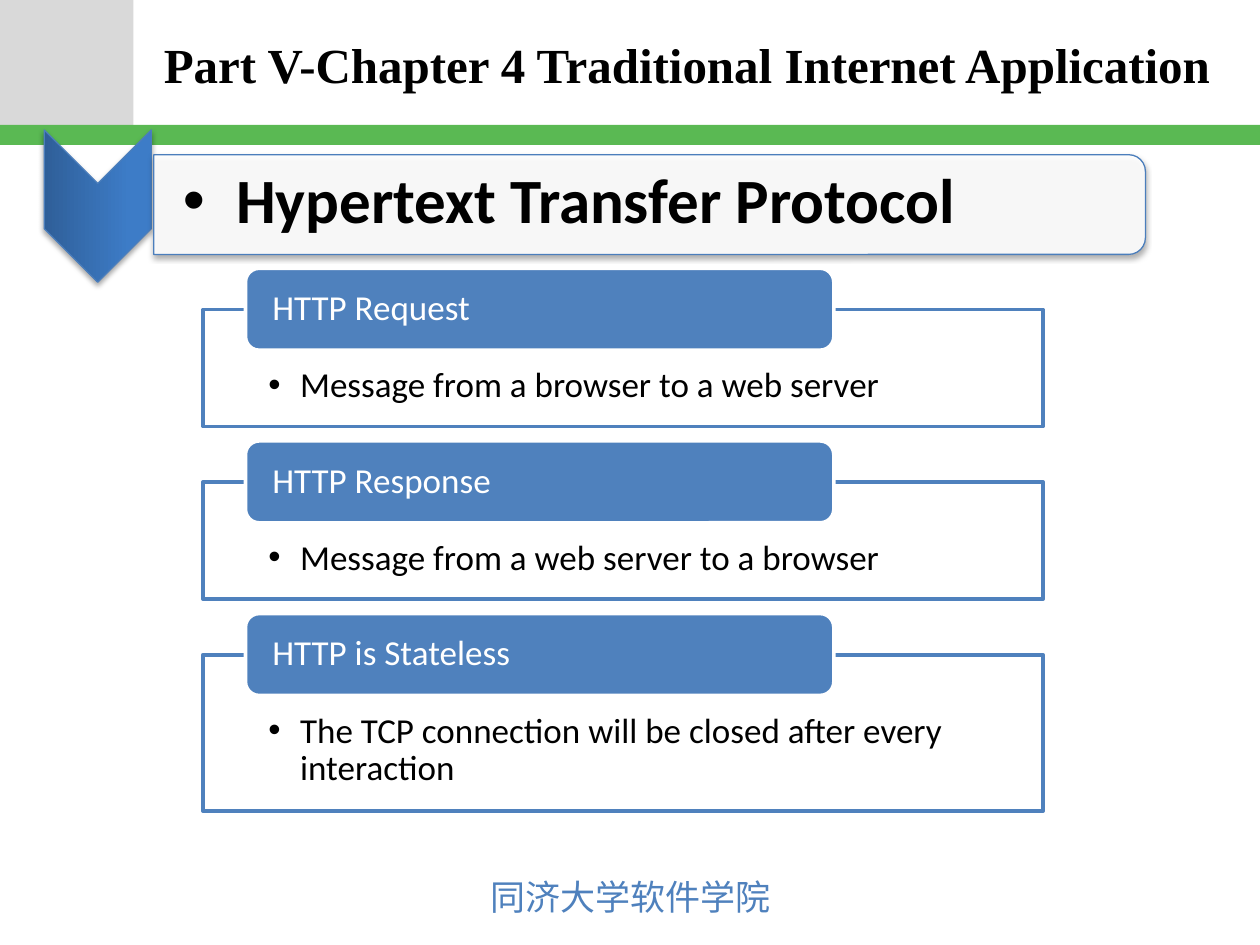
from lxml import etree
from pptx import Presentation
from pptx.dml.color import RGBColor
from pptx.enum.shapes import MSO_SHAPE
from pptx.enum.text import MSO_ANCHOR, PP_ALIGN
from pptx.oxml import parse_xml
from pptx.oxml.ns import nsdecls, qn
from pptx.util import Cm, Pt

RECT, ROUNDED = MSO_SHAPE.RECTANGLE, MSO_SHAPE.ROUNDED_RECTANGLE
CHEVRON, TAB = MSO_SHAPE.CHEVRON, MSO_SHAPE.ROUND_2_SAME_RECTANGLE
TOP, MIDDLE = MSO_ANCHOR.TOP, MSO_ANCHOR.MIDDLE
LEFT, CENTER = PP_ALIGN.LEFT, PP_ALIGN.CENTER

BLACK = RGBColor(0x00, 0x00, 0x00)
WHITE = RGBColor(0xFF, 0xFF, 0xFF)
GREY = RGBColor(0xD9, 0xD9, 0xD9)
GREEN = RGBColor(0x5A, 0xB9, 0x53)
BLUE = RGBColor(0x4F, 0x81, 0xBD)
EDGE = RGBColor(0x4B, 0x7E, 0xBC)
DARK_BLUE = RGBColor(0x2F, 0x5F, 0x99)
MID_BLUE = RGBColor(0x3D, 0x7C, 0xC7)

SHADOW = (
    f'<a:effectLst {nsdecls("a")}>'
    '<a:outerShdw blurRad="40000" dist="23000" dir="5400000" rotWithShape="0">'
    '<a:srgbClr val="000000"><a:alpha val="35000"/></a:srgbClr>'
    '</a:outerShdw></a:effectLst>'
)


def write(sp, text, size=20, font="Calibri", color=BLACK, bold=False, align=LEFT,
          anchor=TOP, insets=None, bullet=None, spacing=None, wrap=True):
    """Fill a shape with one paragraph; insets and bullet indent are in cm."""
    tf = sp.text_frame
    tf.word_wrap = wrap
    tf.vertical_anchor = anchor
    if insets:
        (tf.margin_left, tf.margin_top,
         tf.margin_right, tf.margin_bottom) = [Cm(v) for v in insets]
    p = tf.paragraphs[0]
    p.alignment = align
    if spacing:
        p.line_spacing = spacing
    if bullet:
        pPr = p._p.get_or_add_pPr()
        pPr.set("marL", str(Cm(bullet)))
        pPr.set("indent", str(-Cm(bullet)))
        etree.SubElement(pPr, qn("a:buFont")).set("typeface", "Arial")
        etree.SubElement(pPr, qn("a:buChar")).set("char", "•")
    r = p.add_run()
    r.text = text
    r.font.size = Pt(size)
    r.font.bold = bold
    r.font.color.rgb = color
    r.font.name = font
    etree.SubElement(r._r.get_or_add_rPr(), qn("a:ea")).set("typeface", font)


class SlideBuilder:
    line_width = 2
    thin_line = 0.75

    def __init__(self, prs):
        self.s = prs.slides.add_slide(prs.slide_layouts[5])

    def title(self, text, x, y, w, h, **fmt):
        sp = self.s.shapes.title
        sp.left, sp.top, sp.width, sp.height = Cm(x), Cm(y), Cm(w), Cm(h)
        write(sp, text, **fmt)

    def text(self, text, x, y, w, h, **fmt):
        write(self.s.shapes.add_textbox(Cm(x), Cm(y), Cm(w), Cm(h)), text, **fmt)

    def shape(self, kind, x, y, w, h, fill=None, line=None, width=line_width, alpha=None):
        sp = self.s.shapes.add_shape(kind, Cm(x), Cm(y), Cm(w), Cm(h))
        sp.shadow.inherit = False
        if fill is not None:
            sp.fill.solid()
            sp.fill.fore_color.rgb = fill
        if alpha:
            clr = sp._element.spPr.find(qn("a:solidFill"))[0]
            etree.SubElement(clr, qn("a:alpha")).set("val", str(alpha * 1000))
        if line is None:
            sp.line.fill.background()
        else:
            sp.line.color.rgb = line
            sp.line.width = Pt(width)
        return sp

    def turned(self, kind, x, y, w, h, **style):
        """Add a shadowed shape turned 90 degrees; the bounds are those seen."""
        sp = self.shape(kind, x + (w - h) / 2, y + (h - w) / 2, h, w,
                        line=EDGE, width=self.thin_line, **style)
        sp.rotation = 90
        spPr = sp._element.spPr
        spPr.replace(spPr.find(qn("a:effectLst")), parse_xml(SHADOW))
        return sp

    def chevron(self, x, y, w, h):
        sp = self.turned(CHEVRON, x, y, w, h)
        sp.fill.gradient()
        sp.fill.gradient_angle = 90
        stops = zip(sp.fill.gradient_stops, (0, 0.8), (DARK_BLUE, MID_BLUE))
        for stop, position, color in stops:
            stop.position = position
            stop.color.rgb = color

    def card(self, label, detail, y, h):
        box = self.shape(RECT, 4.09, y, 16.94, h, WHITE, BLUE, alpha=90)
        write(box, detail, insets=(1.32, 1.17, 1.32, 0.41), bullet=0.64, spacing=0.9)
        tag = self.shape(ROUNDED, 4.95, y - 0.83, 11.86, 1.65, BLUE, WHITE)
        write(tag, label, color=WHITE, anchor=MIDDLE,
              insets=(0.46, 0, 0.46, 0), spacing=0.9)


def main():
    prs = Presentation()
    prs.slide_width, prs.slide_height = Cm(25.4), Cm(19.05)
    b = SlideBuilder(prs)

    b.shape(RECT, 0, 0, 2.69, 2.52, GREY)
    b.shape(RECT, 0, 2.52, 25.4, 0.4, GREEN)
    b.text("同济大学软件学院", 9.6, 17.53, 6.22, 1.12,
           font="Noto Sans CJK JP", color=BLUE, align=CENTER, wrap=False)
    b.title("Part V-Chapter 4 Traditional Internet Application",
            3.05, 0.05, 21.84, 2.49, size=28, font="Times New Roman",
            bold=True, anchor=MIDDLE)

    b.chevron(0.89, 2.62, 2.16, 3.07)
    b.turned(TAB, 3.1, 3.12, 19.99, 2.01, fill=WHITE, alpha=90)
    b.text("Hypertext Transfer Protocol", 3.05, 3.2, 19.91, 1.8, size=36, bold=True,
           anchor=MIDDLE, insets=(0.64, 0.05, 0.05, 0.05), bullet=1.07, spacing=0.9)

    cards = [
        ("HTTP Request", "Message from a browser to a web server", 2.36),
        ("HTTP Response", "Message from a web server to a browser", 2.36),
        ("HTTP is Stateless",
         "The TCP connection will be closed after every interaction", 3.15),
    ]
    y, gap = 6.24, 1.12
    for label, detail, h in cards:
        b.card(label, detail, y, h)
        y += h + gap

    prs.save("out.pptx")


if __name__ == "__main__":
    main()
